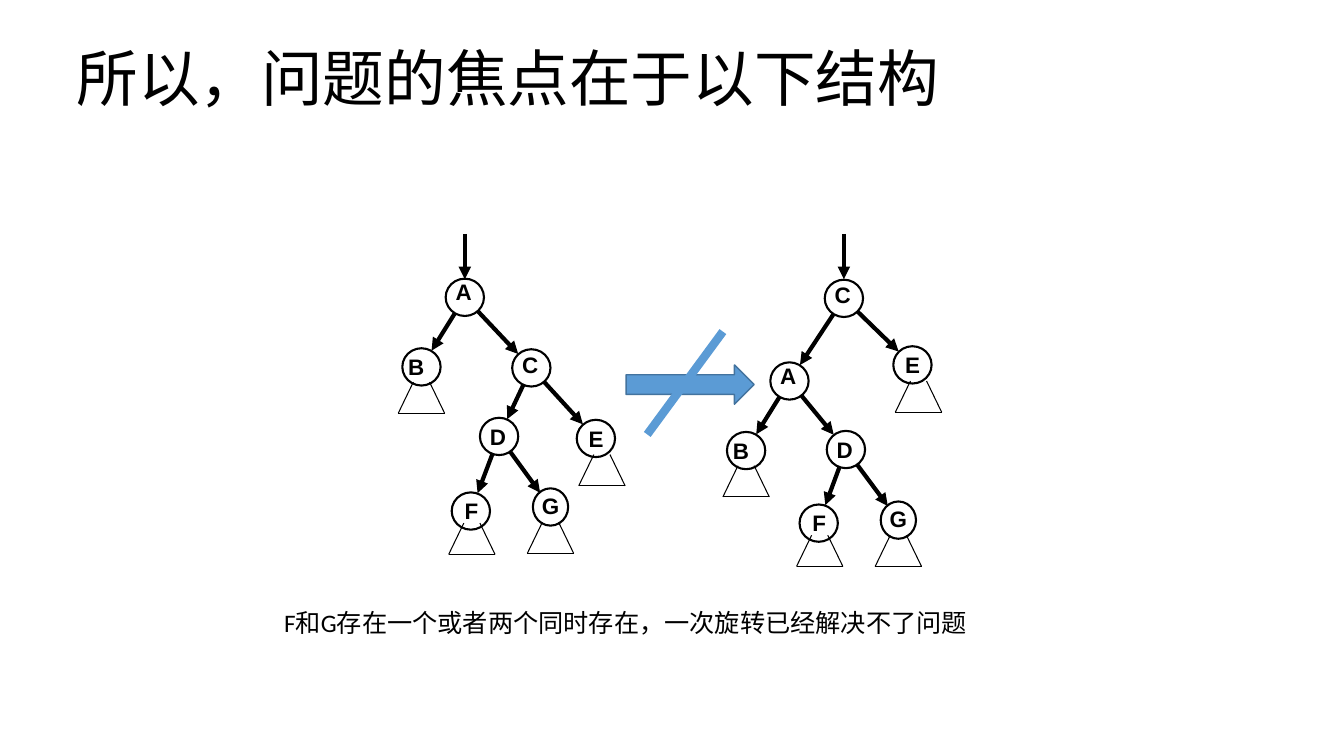
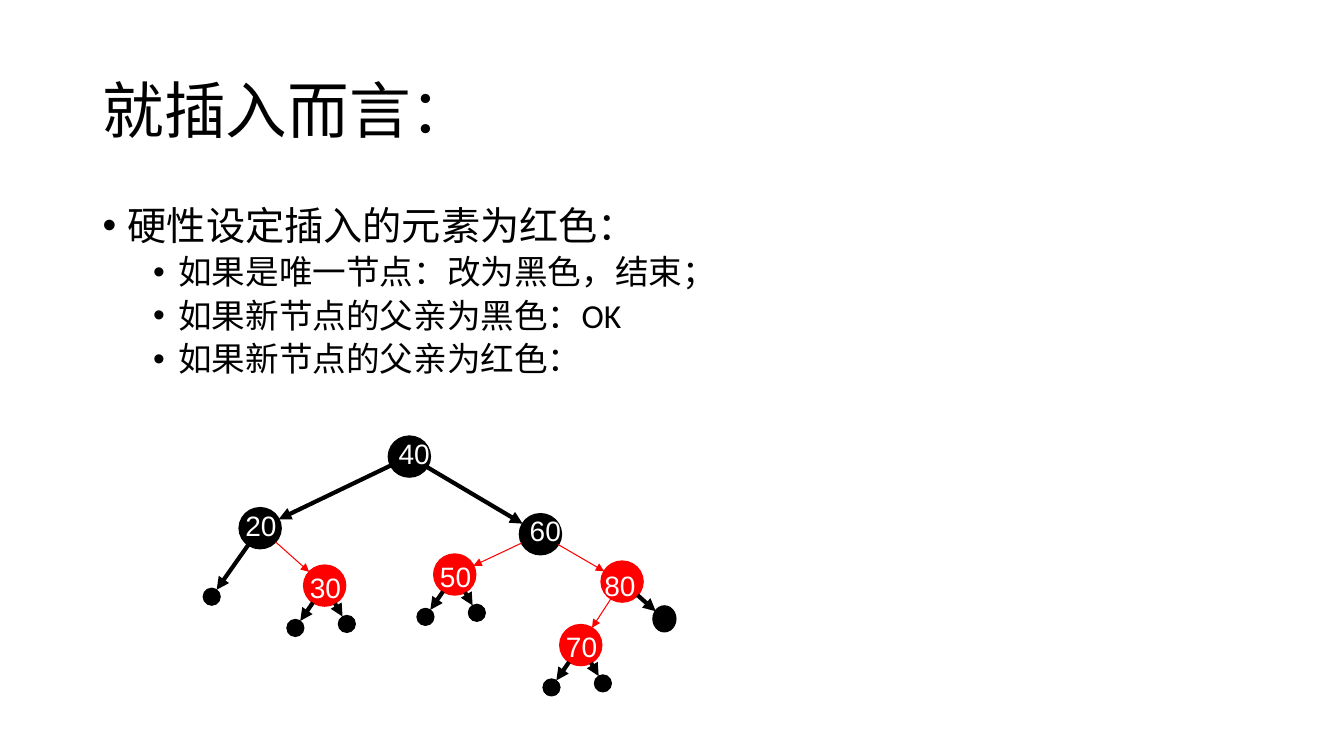
from dataclasses import dataclass
from math import hypot

from lxml.etree import SubElement
from pptx import Presentation
from pptx.dml.color import RGBColor
from pptx.enum.shapes import MSO_CONNECTOR as Connector, MSO_SHAPE as Shape
from pptx.enum.text import MSO_ANCHOR as Anchor
from pptx.oxml.ns import qn
from pptx.util import Inches, Pt

COLORS = {
    "black": "000000",
    "white": "FFFFFF",
    "red": "FF0000",
    "blue": "5B9BD5",
    "navy": "43739E",
}
COLUMNS, ROWS = 133.3, 75  # the slide as a grid of cells, 0.1 inch each
HEADING_SIZE = (115, 14.5)
LEAF_SIZE = 1.7
LEAF_OFFSETS = ((-2.9, 4.2), (2.2, 3.8))

# Offsets of a label from its circle, and of a subtree mark from its node centre
LABEL_SHIFTS = {
    "A": (0, -0.5), "B": (-0.4, 0), "C": (0, -0.3), "E": (0.2, 0),
    "F": (0.3, 0), "G": (-0.1, -0.1),
    "40": (0, -0.5), "20": (-0.4, -0.4), "60": (0, -0.5), "30": (-0.4, 0),
    "50": (-0.4, 0), "70": (-0.4, 0), "80": (-0.7, 0.2),
}
SUBTREE_SHIFTS = {"B": (0, 1.5), "E": (0.6, 1.6), "F": (0.1, 1.2), "G": (0, 1.5)}


@dataclass
class Node:
    label: str
    x: float
    y: float
    parent: str = ""
    color: str = "black"
    width: float = 3.8
    height: float = 3.7


def cells(count):
    return Inches(count / 10)


def rgb(name):
    return RGBColor.from_string(COLORS[name])


def add_text(slide, box, lines, size=18, font="Calibri", color="black",
             bold=False, anchor=Anchor.TOP, spacing=1.0, wrap=True):
    """Lines are plain strings or (text, bullet level) pairs."""
    shape = slide.shapes.add_textbox(*map(cells, box))
    frame = shape.text_frame
    frame.word_wrap = wrap
    frame.vertical_anchor = anchor
    for index, line in enumerate(lines):
        text, level = line if isinstance(line, tuple) else (line, None)
        paragraph = frame.paragraphs[0] if index == 0 else frame.add_paragraph()
        paragraph.line_spacing = spacing
        if level is not None:
            add_bullet(paragraph, level)
            if index:
                paragraph.space_before = Pt(5 if level else 10)
        run = paragraph.add_run()
        run.text = text
        run.font.name = font
        run.font.size = Pt(size - 4 * (level or 0))
        run.font.bold = bold
        run.font.color.rgb = rgb(color)
    return shape


def add_bullet(paragraph, level):
    paragraph.level = level
    properties = paragraph._p.get_or_add_pPr()
    properties.set("marL", str(Inches(0.25 + 0.5 * level)))
    properties.set("indent", str(Inches(-0.25)))
    SubElement(properties, qn("a:buFont")).set("typeface", "Arial")
    SubElement(properties, qn("a:buChar")).set("char", "•")


def add_figure(slide, kind, box, fill=None, line="black", width=1.5):
    shape = slide.shapes.add_shape(kind, *map(cells, box))
    shape.shadow.inherit = False
    if fill:
        shape.fill.solid()
        shape.fill.fore_color.rgb = rgb(fill)
    else:
        shape.fill.background()
    shape.line.color.rgb = rgb(line)
    shape.line.width = Pt(width)
    return shape


def add_line(slide, start, end, color="black", width=3, arrow=False):
    line = slide.shapes.add_connector(
        Connector.STRAIGHT, *map(cells, (*start, *end)))
    line.line.color.rgb = rgb(color)
    line.line.width = Pt(width)
    if arrow:
        SubElement(line.line._get_or_add_ln(), qn("a:tailEnd")).set("type", "triangle")
    SubElement(line._element.spPr, qn("a:effectLst"))
    return line


def add_title(slide, left, top, text):
    add_text(slide, (left, top, *HEADING_SIZE), [text], size=44,
             anchor=Anchor.MIDDLE, spacing=0.9)


def add_edge(slide, origin, parent, child, color="black", width=3):
    """Arrow from the rim of the parent to the rim of the child."""
    left, top = origin
    run, rise = child.x - parent.x, child.y - parent.y
    length = hypot(run, rise)
    near = parent.width / 2 / length
    far = 1 - child.width / 2 / length
    start, end = ((left + parent.x + run * share, top + parent.y + rise * share)
                  for share in (near, far))
    add_line(slide, start, end, color, width, arrow=True)


def add_node(slide, origin, node, fill=None, **label_format):
    left = origin[0] + node.x - node.width / 2
    top = origin[1] + node.y - node.height / 2
    add_figure(slide, Shape.OVAL, (left, top, node.width, node.height),
               fill, node.color, 1.5 if node.label else 0.75)
    if node.label:
        across, down = LABEL_SHIFTS.get(node.label, (0, 0))
        add_text(slide, (left + across, top + down, 5.5, node.height),
                 [node.label], font="Arial", wrap=False, **label_format)


def add_subtree(slide, x, y):
    """Open triangle hanging below a node."""
    corners = [(x - 0.8, y), (x - 2.3, y + 3.1), (x + 2.3, y + 3.1), (x + 0.8, y)]
    for start, end in zip(corners, corners[1:]):
        add_line(slide, start, end, width=0.75)


def add_letter_tree(slide, origin, nodes):
    by_label = {node.label: node for node in nodes}
    left, top = origin
    for node in nodes:
        add_node(slide, origin, node, size=16, bold=True)
        if node.label in SUBTREE_SHIFTS:
            across, down = SUBTREE_SHIFTS[node.label]
            add_subtree(slide, left + node.x + across, top + node.y + down)
        if node.parent:
            add_edge(slide, origin, by_label[node.parent], node)
        else:
            add_line(slide, (left + node.x, top), (left + node.x, top + 4.5),
                     arrow=True)


def add_red_black_tree(slide, origin, nodes):
    by_label = {node.label: node for node in nodes}
    for node in nodes:
        add_node(slide, origin, node, node.color, size=20, color="white")
    for node in nodes:
        if node.parent:
            width = 0.75 if node.color == "red" else 3
            add_edge(slide, origin, by_label[node.parent], node, node.color, width)


def add_crossed_arrow(slide, left, top):
    add_figure(slide, Shape.RIGHT_ARROW, (left, top + 3.3, 12.7, 3.9),
               "blue", "navy", 1)
    add_line(slide, (left + 9.6, top), (left + 2.1, top + 10.2), "blue", 6)


def build_rotation_slide(slide):
    add_title(slide, 6.6, 0.8, "所以，问题的焦点在于以下结构")
    add_letter_tree(slide, (39.5, 23.2), [
        Node("A", 6.6, 6.3),
        Node("B", 2.3, 13.2, "A"),
        Node("C", 13.2, 13.3, "A"),
        Node("D", 10, 20.1, "C"),
        Node("E", 19.6, 20.3, "C"),
        Node("F", 7.2, 27.5, "D"),
        Node("G", 15.1, 27.1, "D", width=3.5),
    ])
    add_letter_tree(slide, (71.7, 23.2), [
        Node("C", 12, 6.4),
        Node("A", 6.6, 14.6, "C"),
        Node("E", 18.8, 13, "C"),
        Node("B", 2.3, 21.5, "A"),
        Node("D", 12.2, 21.4, "A"),
        Node("F", 9.5, 28.7, "D"),
        Node("G", 17.4, 28.4, "D", width=3.5),
    ])
    add_crossed_arrow(slide, 62.1, 32.9)
    add_text(slide, (27.2, 59.8, 70.4, 4),
             ["F和G存在一个或者两个同时存在，一次旋转已经解决不了问题"])


def build_insertion_slide(slide):
    add_title(slide, 9.2, 4, "就插入而言：")
    add_text(slide, (9.2, 20, 115, 47.6), [
        ("硬性设定插入的元素为红色：", 0),
        ("如果是唯一节点：改为黑色，结束；", 1),
        ("如果新节点的父亲为黑色：OK", 1),
        ("如果新节点的父亲为红色：", 1),
    ], size=28, spacing=0.9)
    circle = {"width": 4.1, "height": 4}
    leaf = {"width": LEAF_SIZE, "height": LEAF_SIZE}
    nodes = [
        Node("40", 20.6, 2.3, **circle),
        Node("20", 5.8, 9.4, "40", **circle),
        Node("60", 33.6, 10, "40", **circle),
        Node("30", 12.2, 15.1, "20", "red", **circle),
        Node("50", 25.1, 14, "60", "red", **circle),
        Node("80", 41.7, 14.7, "60", "red", **circle),
        Node("70", 37.6, 21, "80", "red", **circle),
    ]
    leaves = [Node("", node.x + across, node.y + down, node.label, **leaf)
              for node in nodes if node.label in ("30", "50", "70")
              for across, down in LEAF_OFFSETS]
    leaves += [
        Node("", 1, 16.2, "20", **leaf),
        Node("", 45.9, 18.4, "80", width=2.3, height=2.6),
    ]
    add_red_black_tree(slide, (20, 43), nodes + leaves)


def main():
    presentation = Presentation()
    presentation.slide_width = cells(COLUMNS)
    presentation.slide_height = cells(ROWS)
    blank = presentation.slide_layouts[6]
    for build in (build_rotation_slide, build_insertion_slide):
        build(presentation.slides.add_slide(blank))
    presentation.save("out.pptx")


if __name__ == "__main__":
    main()
